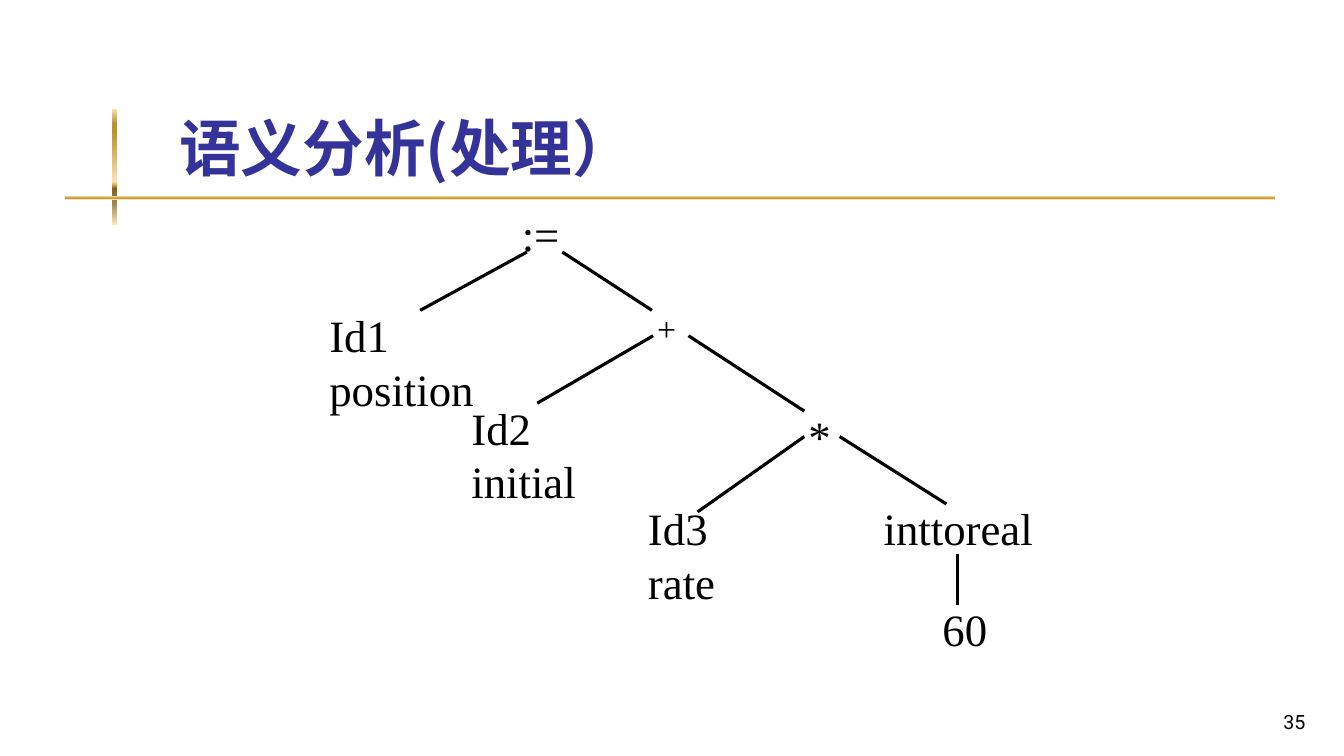
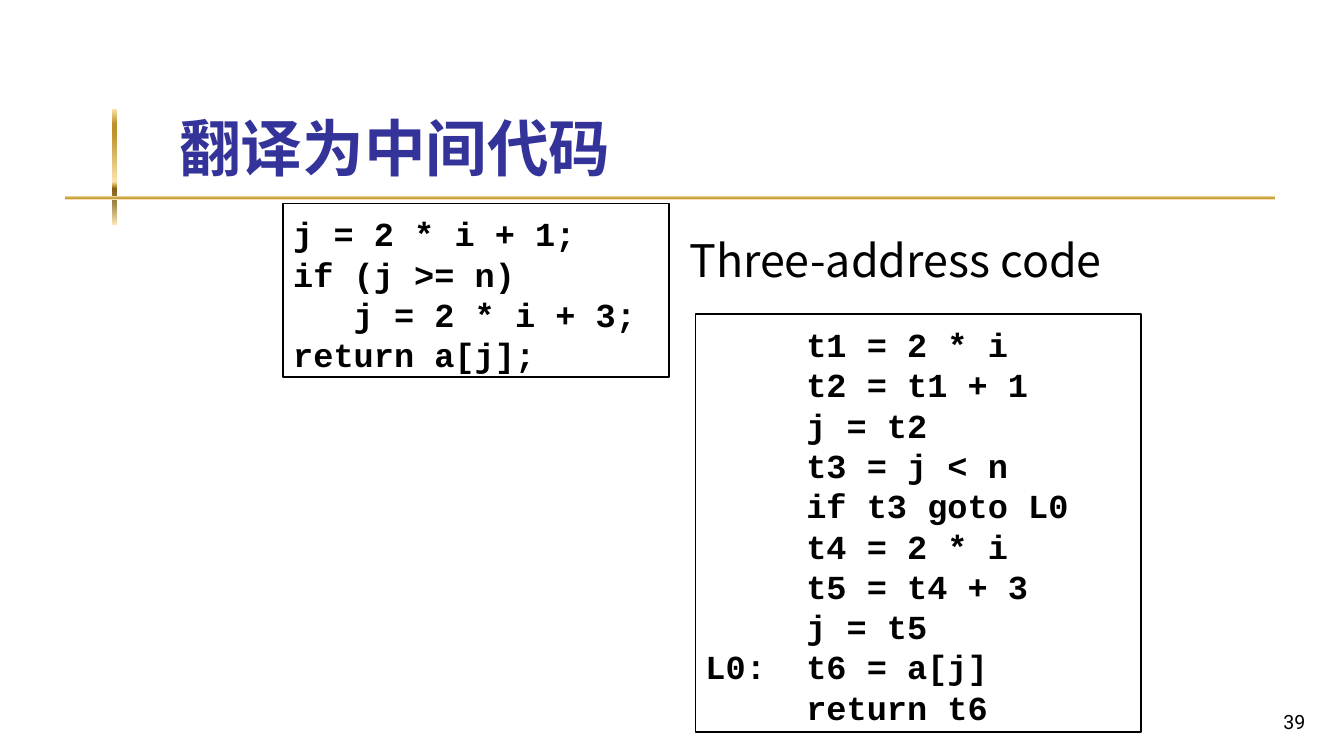
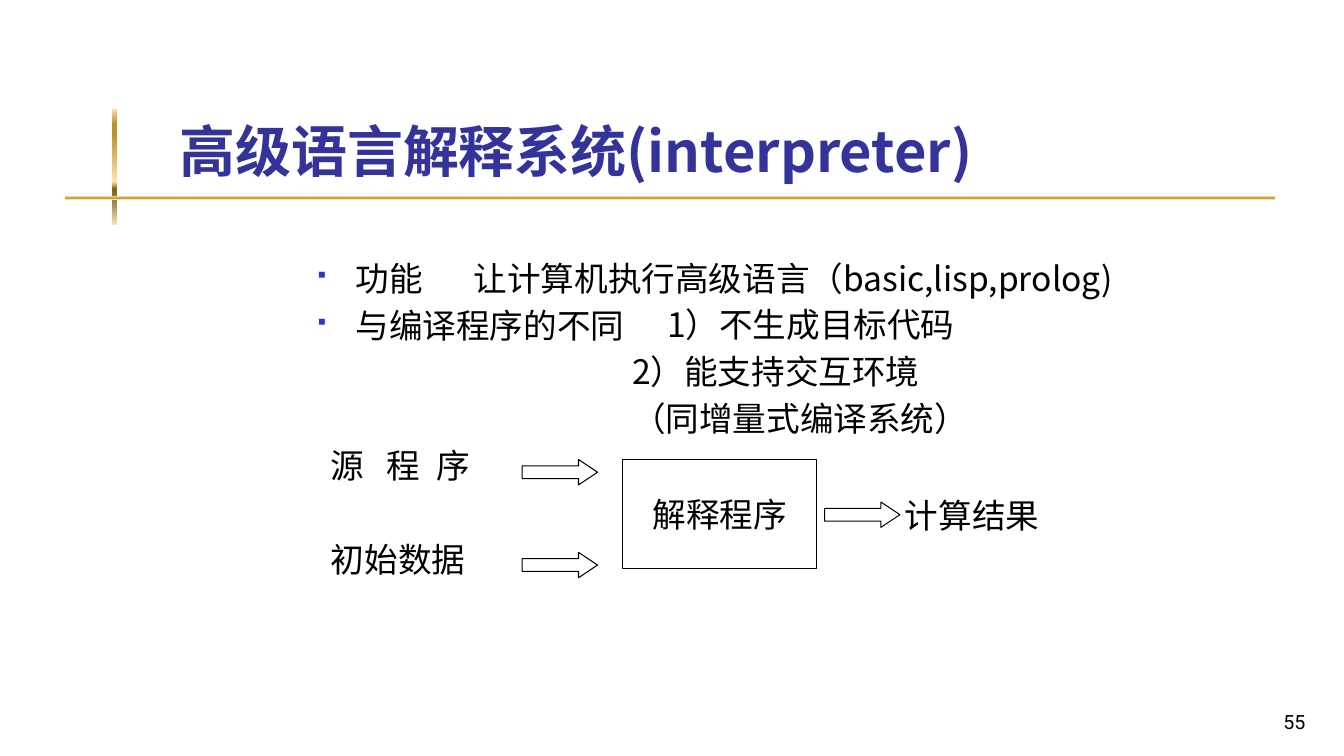
from lxml import etree
from pptx import Presentation
from pptx.dml.color import RGBColor
from pptx.enum.shapes import MSO_CONNECTOR, MSO_SHAPE
from pptx.enum.text import MSO_ANCHOR, PP_ALIGN
from pptx.oxml.ns import qn
from pptx.util import Cm, Pt

RECTANGLE, ARROW = MSO_SHAPE.RECTANGLE, MSO_SHAPE.RIGHT_ARROW
STRAIGHT = MSO_CONNECTOR.STRAIGHT
TOP, MIDDLE, BOTTOM = MSO_ANCHOR.TOP, MSO_ANCHOR.MIDDLE, MSO_ANCHOR.BOTTOM
LEFT, CENTER, RIGHT = PP_ALIGN.LEFT, PP_ALIGN.CENTER, PP_ALIGN.RIGHT

COLORS = {"text": "000000", "title": "333399", "bullet": "3333CC", "paper": "FFFFFF"}
GOLD_STOPS = [(0, "FBE4AE"), (13, "BD922A"), (21, "BD922A"), (63, "FBE4AE"),
              (67, "BD922A"), (69, "835E17"), (82, "A28949"), (100, "FAE3B7")]
SANS, SERIF, MONO, NUMBER = "Noto Sans CJK JP", "Times New Roman", "Courier New", "Roboto"

SOURCE_CODE = """j = 2 * i + 1;
if (j >= n)
   j = 2 * i + 3;
return a[j];"""
THREE_ADDRESS_CODE = """\tt1 = 2 * i
\tt2 = t1 + 1
\tj = t2
\tt3 = j < n
\tif t3 goto L0
\tt4 = 2 * i
\tt5 = t4 + 3
\tj = t5
L0:\tt6 = a[j]
\treturn t6"""


def rgb(name):
    return RGBColor.from_string(COLORS[name])


def add_element(parent, tag, **attributes):
    return etree.SubElement(parent, qn(tag), {key: str(value) for key, value in attributes.items()})


class SlideBuilder:
    """Holds the shared style and the slide being filled; all lengths are in cm."""

    def __init__(self):
        self.deck = Presentation()
        self.deck.slide_width, self.deck.slide_height = Cm(33.87), Cm(19.05)
        self.page = None

    def new_page(self, title, number, title_size=44):
        self.page = self.deck.slides.add_slide(self.deck.slide_layouts[6])
        self.gold_bar(2.82, 2.74, 0.13, 2.92)
        self.gold_bar(1.65, 4.95, 30.48, 0.08)
        self.text(title, 4.27, 0.58, 28.85, 4.06, title_size, color="title", bold=True,
                  anchor=BOTTOM, inset=0)
        self.text(number, 26.09, 17.35, 7.06, 1.27, 14, NUMBER, align=RIGHT, anchor=BOTTOM)

    def gold_bar(self, left, top, width, height):
        bar = self.shape(RECTANGLE, left, top, width, height, line=None)
        bar.fill.gradient()
        gradient = bar._element.spPr.find(qn("a:gradFill"))
        for child in list(gradient):
            gradient.remove(child)
        stops = add_element(gradient, "a:gsLst")
        for percent, color in GOLD_STOPS:
            stop = add_element(stops, "a:gs", pos=percent * 1000)
            add_element(stop, "a:srgbClr", val=color)
        add_element(gradient, "a:lin", ang=90 * 60000, scaled=0)

    def shape(self, kind, left, top, width, height, fill="paper", line="text", weight=0.75):
        box = self.page.shapes.add_shape(kind, Cm(left), Cm(top), Cm(width), Cm(height))
        box.shadow.inherit = False
        if fill:
            box.fill.solid()
            box.fill.fore_color.rgb = rgb(fill)
        else:
            box.fill.background()
        if line:
            box.line.color.rgb = rgb(line)
            box.line.width = Pt(weight)
        else:
            box.line.fill.background()
        return box

    def text(self, words, left, top, width, height, size, font=SANS, **style):
        box = self.page.shapes.add_textbox(Cm(left), Cm(top), Cm(width), Cm(height))
        self.set_text(box, words, size, font, **style)

    def set_text(self, box, words, size, font=SANS, color="text", bold=False, align=LEFT,
                 anchor=TOP, inset=0.13, wrap=True, leading=None, gap=0, tabs=(), bullet=False):
        """Fill a box, one paragraph a line; leading and gap are in points."""
        frame = box.text_frame
        frame.word_wrap, frame.vertical_anchor = wrap, anchor
        frame.margin_left = frame.margin_right = Cm(0.25)
        frame.margin_top = frame.margin_bottom = Cm(inset)
        for index, line in enumerate(words.split("\n")):
            para = frame.add_paragraph() if index else frame.paragraphs[0]
            para.text = line
            if bullet:
                self.add_bullet(para)
            if tabs:
                stops = add_element(para._p.get_or_add_pPr(), "a:tabLst")
                for position in tabs:
                    add_element(stops, "a:tab", pos=Cm(position), algn="l")
            para.alignment = align
            if leading:
                para.line_spacing = Pt(leading)
            if index and gap:
                para.space_before = Pt(gap)
            para.font.size, para.font.bold = Pt(size), bold
            para.font.name, para.font.color.rgb = font, rgb(color)
            add_element(para.font._rPr, "a:ea", typeface=font)

    def add_bullet(self, para):
        properties = para._p.get_or_add_pPr()
        properties.set("marL", str(Cm(0.96)))
        properties.set("indent", str(-Cm(0.96)))
        add_element(add_element(properties, "a:buClr"), "a:srgbClr", val=COLORS["bullet"])
        add_element(properties, "a:buSzPct", val=60000)
        add_element(properties, "a:buFont", typeface="Wingdings")
        add_element(properties, "a:buChar", char="§")

    def code(self, listing, left, top, width, height, tabs=()):
        box = self.shape(RECTANGLE, left, top, width, height, fill=None, weight=1.25)
        self.set_text(box, listing, 24, MONO, bold=True, inset=0.24, leading=28.8, tabs=tabs)

    def node(self, label, left, top, width, height=1.63, size=32):
        self.text(label, left, top, width, height, size, SERIF, leading=1.2 * size)

    def branch(self, start_x, start_y, end_x, end_y):
        line = self.page.shapes.add_connector(STRAIGHT, Cm(start_x), Cm(start_y),
                                              Cm(end_x), Cm(end_y))
        line.line.color.rgb, line.line.width = rgb("text"), Pt(2.25)
        add_element(line._element.spPr, "a:effectLst")

    def body(self, words, left, row, width, **style):
        """Add 24 pt lines that start on the given row of the body."""
        pitch = 1.18
        height = pitch * len(words.split("\n"))
        self.text(words, left, 6.32 + row * pitch, width, height, 24, inset=0,
                  leading=33.6, **style)

    def arrow(self, left, top):
        arrow = self.shape(ARROW, left, top, 1.9, 0.64)
        arrow.adjustments[0], arrow.adjustments[1] = 0.5, 0.75


def semantic_analysis(builder):
    builder.new_page("语义分析(处理）", "35")
    for node in [(":=", 12.9, 5.08, 1.8), ("+", 16.31, 7.62, 1.8, 1.3, 24),
                 ("*", 20.12, 10.16, 1.8), ("Id1 position", 8.05, 7.62, 4.47, 3),
                 ("Id2 initial", 11.63, 9.96, 3.35, 3), ("Id3 rate", 16.08, 12.5, 2.46, 3),
                 ("inttoreal", 22.02, 12.5, 4.45), ("60", 23.5, 15.04, 1.7)]:
        builder.node(*node)
    for branch in [(13.28, 6.35, 10.59, 7.82), (14.17, 6.35, 16.43, 7.82),
                   (16.46, 8.46, 13.54, 10.16), (17.35, 8.46, 20.27, 10.36),
                   (20.27, 11, 17.58, 12.9), (21.16, 11, 23.85, 12.7),
                   (24.13, 13.97, 24.13, 15.24)]:
        builder.branch(*branch)


def intermediate_code(builder):
    builder.new_page("翻译为中间代码", "39")
    builder.text("Three-address code", 17.12, 5.87, 13, 1.7, 32, inset=0)
    builder.code(SOURCE_CODE, 7.14, 5.13, 9.73, 4.37)
    builder.code(THREE_ADDRESS_CODE, 17.53, 7.92, 11.23, 10.52, tabs=[2.54])


def interpreter(builder):
    builder.new_page("高级语言解释系统(interpreter)", "55", title_size=40)
    builder.body("功能\n与编译程序的不同", 7.75, 0, 8.8, bullet=True)
    builder.body("让计算机执行高级语言（basic,lisp,prolog)", 11.69, 0, 18)
    builder.body("1）不生成目标代码", 16.56, 1, 10)
    builder.body("2）能支持交互环境\n（同增量式编译系统）", 15.68, 2, 11)
    builder.body("源\t程\t序\n初始数据", 8.09, 4, 4.8, gap=33.6, tabs=[1.41, 2.65])
    program = builder.shape(RECTANGLE, 15.7, 11.58, 4.88, 2.74)
    result = builder.shape(RECTANGLE, 22.91, 12.45, 3.18, 1.07, line="paper")
    for box, label in [(program, "解释程序"), (result, "计算结果")]:
        builder.set_text(box, label, 24, align=CENTER, anchor=MIDDLE, wrap=False)
    for left, top in [(13.16, 11.58), (13.16, 13.92), (20.78, 12.65)]:
        builder.arrow(left, top)


def main():
    builder = SlideBuilder()
    semantic_analysis(builder)
    intermediate_code(builder)
    interpreter(builder)
    builder.deck.save("out.pptx")


if __name__ == "__main__":
    main()
